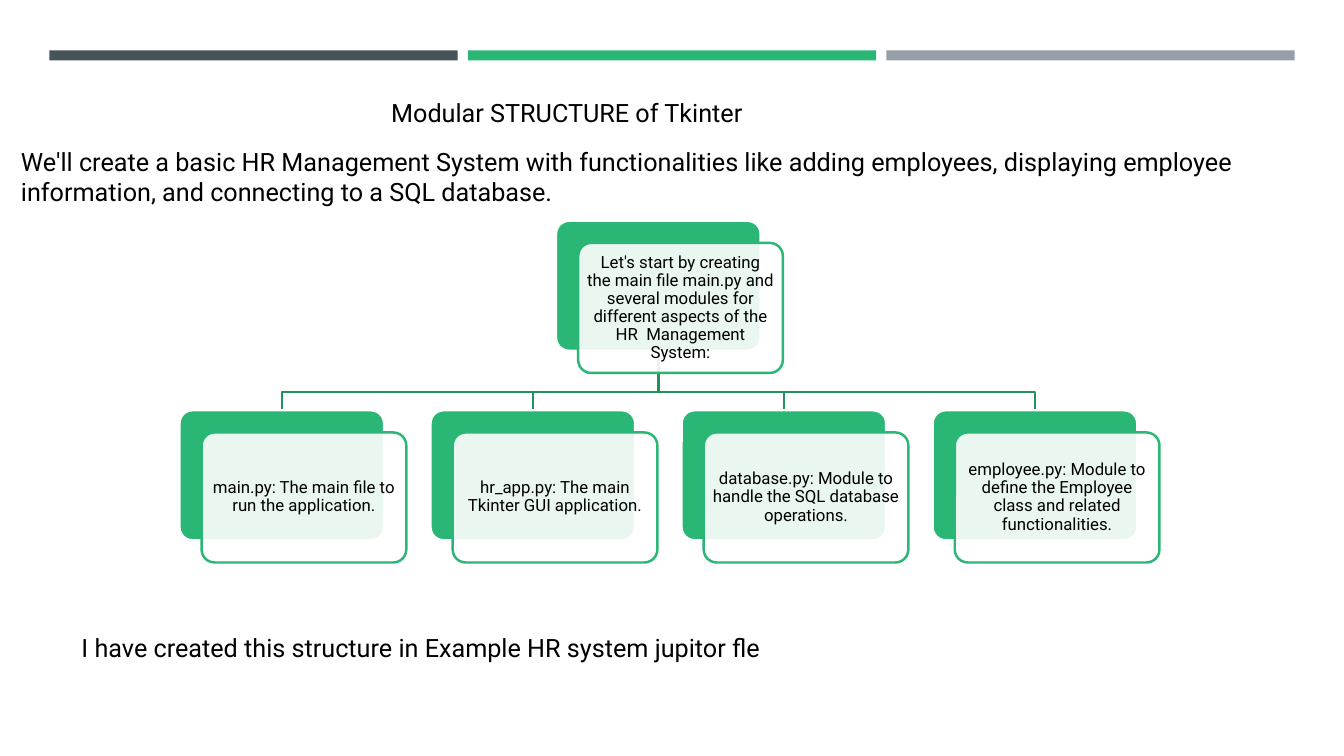
from dataclasses import dataclass

from lxml import etree
from pptx import Presentation
from pptx.dml.color import RGBColor
from pptx.enum.shapes import MSO_SHAPE
from pptx.enum.text import MSO_ANCHOR, MSO_AUTO_SIZE, PP_ALIGN
from pptx.oxml.ns import qn
from pptx.util import Inches, Pt

RECTANGLE, ROUNDED = MSO_SHAPE.RECTANGLE, MSO_SHAPE.ROUNDED_RECTANGLE
LEFT, CENTER = PP_ALIGN.LEFT, PP_ALIGN.CENTER
TOP, MIDDLE = MSO_ANCHOR.TOP, MSO_ANCHOR.MIDDLE
NO_FIT = MSO_AUTO_SIZE.NONE

HEADING = "Modular STRUCTURE of Tkinter"
INTRO = ("We'll create a basic HR Management System with functionalities like adding employees, "
         "displaying employee information, and connecting to a SQL database.")
CLOSING = "I have created this structure in Example HR system jupitor fle"
MAIN_STEP = ("Let's start by creating the main file main.py and several modules "
             "for different aspects of the HR  Management System:")
MODULES = [
    "main.py: The main file to run the application.",
    "hr_app.py: The main Tkinter GUI application.",
    "database.py: Module to handle the SQL database operations.",
    "employee.py: Module to define the Employee class and related functionalities.",
]


@dataclass(frozen=True)
class Theme:
    font: str = "Roboto"
    body_size: int = 18
    card_size: int = 12
    line_width: float = 1.75
    text: str = "000000"
    white: str = "FFFFFF"
    green: str = "2AB674"
    branch: str = "22925D"
    bars: tuple = ("465359", "2AB674", "969FA7")


THEME = Theme()
BAR_LEFT, BAR_TOP, BAR_WIDTH, BAR_HEIGHT, BAR_PITCH = 0.49, 0.5, 4.05, 0.1, 4.15
CARD_WIDTH, CARD_HEIGHT, CARD_OFFSET = 2.03, 1.29, 0.22
ROW_LEFT, ROW_TOP, ROW_PITCH = 1.78, 4.07, 2.49
MAIN_TOP, FORK_Y = 2.19, 3.89


def write(holder, text, size=THEME.body_size, align=LEFT, anchor=TOP, spacing=1.0, inset=None):
    frame = holder.text_frame
    frame.word_wrap = True
    frame.auto_size = NO_FIT
    frame.vertical_anchor = anchor
    if inset is not None:
        frame.margin_left = frame.margin_right = Inches(inset)
        frame.margin_top = frame.margin_bottom = Inches(inset)
    paragraph = frame.paragraphs[0]
    paragraph.alignment = align
    paragraph.line_spacing = spacing
    run = paragraph.add_run()
    run.text = text
    run.font.name = THEME.font
    run.font.size = Pt(size)
    run.font.color.rgb = RGBColor.from_string(THEME.text)


def add_block(slide, preset, left, top, width, height, fill, line=None, opacity=None):
    block = slide.shapes.add_shape(preset, Inches(left), Inches(top), Inches(width), Inches(height))
    block.shadow.inherit = False
    block.fill.solid()
    block.fill.fore_color.rgb = RGBColor.from_string(fill)
    if opacity is not None:
        color = block.fill._xPr.find(qn("a:solidFill"))[0]
        etree.SubElement(color, qn("a:alpha"), val=str(opacity * 1000))
    if line:
        block.line.color.rgb = RGBColor.from_string(line)
        block.line.width = Pt(THEME.line_width)
    else:
        block.line.fill.background()
    if preset == ROUNDED:
        block.adjustments[0] = 0.1
    return block


def add_card(slide, left, top, text):
    add_block(slide, ROUNDED, left, top, CARD_WIDTH, CARD_HEIGHT, THEME.green, THEME.white)
    front = add_block(slide, ROUNDED, left + CARD_OFFSET, top + CARD_OFFSET,
                      CARD_WIDTH, CARD_HEIGHT, THEME.white, THEME.green, opacity=90)
    write(front, text, size=THEME.card_size, align=CENTER, anchor=MIDDLE, spacing=0.9, inset=0.05)


def add_branch(slide, start_x, end_x):
    points = [(start_x, MAIN_TOP + CARD_HEIGHT), (start_x, FORK_Y), (end_x, FORK_Y), (end_x, ROW_TOP)]
    start, *corners = [(Inches(x), Inches(y)) for x, y in points]
    builder = slide.shapes.build_freeform(*start)
    builder.add_line_segments(corners, close=False)
    branch = builder.convert_to_shape()
    branch.shadow.inherit = False
    branch.fill.background()
    branch.line.color.rgb = RGBColor.from_string(THEME.branch)
    branch.line.width = Pt(THEME.line_width)


def add_paragraph_box(slide, left, top, width, height, text):
    box = slide.shapes.add_textbox(Inches(left), Inches(top), Inches(width), Inches(height))
    write(box, text)


def main():
    deck = Presentation()
    deck.slide_width, deck.slide_height = Inches(13.33), Inches(7.5)
    slide = deck.slides.add_slide(deck.slide_layouts[5])

    for index, color in enumerate(THEME.bars):
        add_block(slide, RECTANGLE, BAR_LEFT + index * BAR_PITCH, BAR_TOP, BAR_WIDTH, BAR_HEIGHT, color)

    heading = slide.shapes.title
    heading.left, heading.top = Inches(3.78), Inches(0.92)
    heading.width, heading.height = Inches(6.37), Inches(0.4)
    write(heading, HEADING)
    add_paragraph_box(slide, 0.11, 1.4, 13.13, 0.71, INTRO)
    add_paragraph_box(slide, 0.71, 6.22, 10.97, 0.4, CLOSING)

    module_lefts = [ROW_LEFT + index * ROW_PITCH for index in range(len(MODULES))]
    main_left = (module_lefts[0] + module_lefts[-1]) / 2
    for left in reversed(module_lefts):
        add_branch(slide, main_left + CARD_WIDTH / 2, left + CARD_WIDTH / 2)
    add_card(slide, main_left, MAIN_TOP, MAIN_STEP)
    for left, module in zip(module_lefts, MODULES):
        add_card(slide, left, ROW_TOP, module)

    deck.save("out.pptx")


if __name__ == "__main__":
    main()
